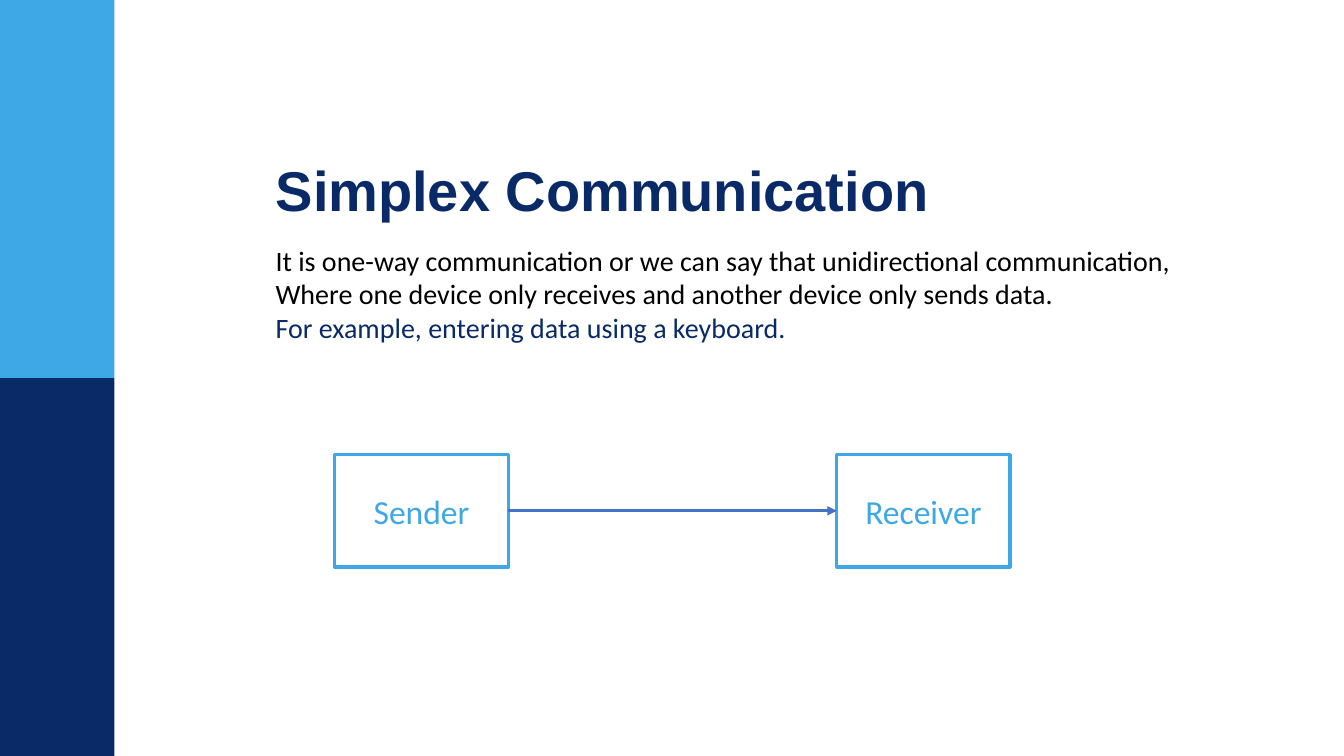
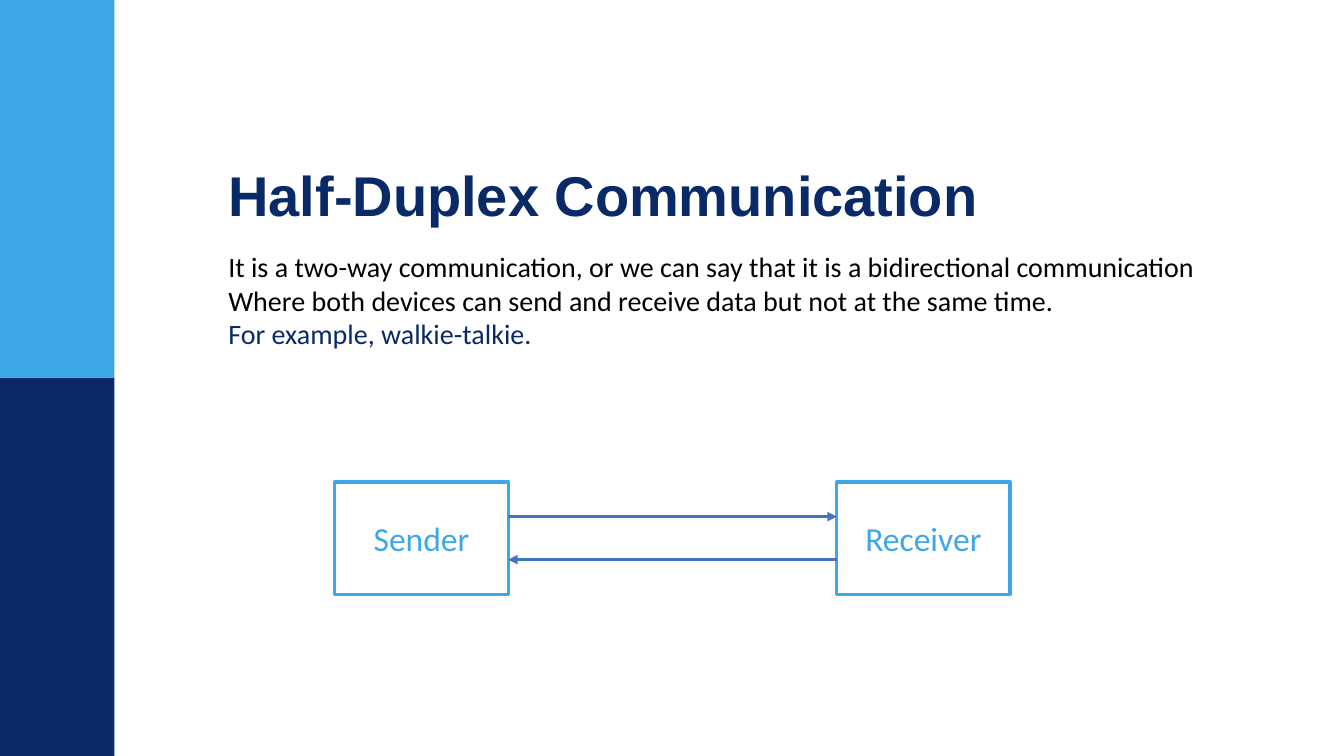
from lxml import etree
from pptx import Presentation
from pptx.dml.color import RGBColor
from pptx.enum.shapes import MSO_CONNECTOR, MSO_SHAPE
from pptx.enum.text import MSO_ANCHOR, MSO_AUTO_SIZE, PP_ALIGN
from pptx.oxml.ns import qn
from pptx.util import Pt

PX = 9525
WIDE, HIGH = 1280, 720
SKY = RGBColor(0x3E, 0xA8, 0xE6)
NAVY = RGBColor(0x09, 0x2A, 0x67)
BLUE = RGBColor(0x44, 0x72, 0xC4)
BLACK = RGBColor(0, 0, 0)

RECT = MSO_SHAPE.RECTANGLE
LINE = MSO_CONNECTOR.STRAIGHT
LEFT, CENTER = PP_ALIGN.LEFT, PP_ALIGN.CENTER
TOP, MIDDLE = MSO_ANCHOR.TOP, MSO_ANCHOR.MIDDLE
FIXED = MSO_AUTO_SIZE.NONE

BAND = 109
NODE_W, NODE_H = 165, 107
STROKE = Pt(2.25)
RIGHT_SIDE, LEFT_SIDE = 3, 1
TITLE_ONLY = 5


def scale(*sizes):
    return [size * PX for size in sizes]


def write(shape, text, size, colors, font="Calibri", bold=False,
          align=LEFT, anchor=TOP, wrap=False):
    """Fill a shape with one paragraph per line and one colour per paragraph."""
    frame = shape.text_frame
    frame.text = text
    frame.auto_size = FIXED
    frame.word_wrap = wrap
    frame.vertical_anchor = anchor
    for par, color in zip(frame.paragraphs, colors):
        par.alignment = align
        face = par.runs[0].font
        face.name, face.size, face.bold = font, Pt(size), bold
        face.color.rgb = color


def rect(slide, x, y, w, h, fill=None, line=None):
    shape = slide.shapes.add_shape(RECT, *scale(x, y, w, h))
    shape.shadow.inherit = False
    if fill is None:
        shape.fill.background()
    else:
        shape.fill.solid()
        shape.fill.fore_color.rgb = fill
    if line is None:
        shape.line.fill.background()
    else:
        shape.line.color.rgb = line
        shape.line.width = STROKE
    return shape


def bands(slide):
    half = HIGH // 2
    for row, color in enumerate((SKY, NAVY)):
        rect(slide, 0, row * half, BAND, half, fill=color)


def heading(slide, text, x, y, w):
    title = slide.shapes.title
    title.left, title.top, title.width, title.height = scale(x, y, w, 74)
    write(title, text, 40, [NAVY], font="Arial", bold=True)


def body(slide, text, x, y, w):
    box = slide.shapes.add_textbox(*scale(x, y, w, 107))
    write(box, text, 20, [BLACK, BLACK, NAVY])


def node(slide, text, x, y):
    shape = rect(slide, x, y, NODE_W, NODE_H, line=SKY)
    write(shape, text, 24, [SKY], align=CENTER, anchor=MIDDLE, wrap=True)
    return shape


def arrow(slide, x1, x2, y):
    link = slide.shapes.add_connector(LINE, *scale(x1, y, x2, y))
    link.line.color.rgb = BLUE
    link.line.width = STROKE
    props = link.line._get_or_add_ln()
    etree.SubElement(props, qn("a:tailEnd"), type="triangle")
    etree.SubElement(link._element.spPr, qn("a:effectLst"))
    return link


def diagram(slide, x, y, w, both):
    """Draw sender and receiver, joined by one arrow or by one each way."""
    far = x + w - NODE_W
    sender = node(slide, "Sender", x, y)
    receiver = node(slide, "Receiver", far, y)
    near, mid = x + NODE_W, y + NODE_H // 2
    if both:
        arrow(slide, near, far, mid - 20)
        arrow(slide, far, near, mid + 21)
    else:
        link = arrow(slide, near, far, mid)
        link.begin_connect(sender, RIGHT_SIDE)
        link.end_connect(receiver, LEFT_SIDE)


def page(deck, title, text, x, y, title_w, body_w, body_gap, flow_y, both):
    slide = deck.slides.add_slide(deck.slide_layouts[TITLE_ONLY])
    bands(slide)
    heading(slide, title, x, y, title_w)
    body(slide, text, x, y + body_gap, body_w)
    diagram(slide, 319, flow_y, 643, both)


def main():
    deck = Presentation()
    deck.slide_width, deck.slide_height = scale(WIDE, HIGH)
    page(deck, "Simplex Communication",
         "It is one-way communication or we can say that unidirectional "
         "communication,\n"
         "Where one device only receives and another device only sends data.\n"
         "For example, entering data using a keyboard.",
         x=253, y=143, title_w=642, body_w=886, body_gap=84,
         flow_y=433, both=False)
    page(deck, "Half-Duplex Communication",
         "It is a two-way communication, or we can say that it is a "
         "bidirectional communication\n"
         "Where both devices can send and receive data but not at the same "
         "time.\n"
         "For example, walkie-talkie.",
         x=208, y=148, title_w=754, body_w=954, body_gap=85,
         flow_y=459, both=True)
    deck.save("out.pptx")


if __name__ == "__main__":
    main()
